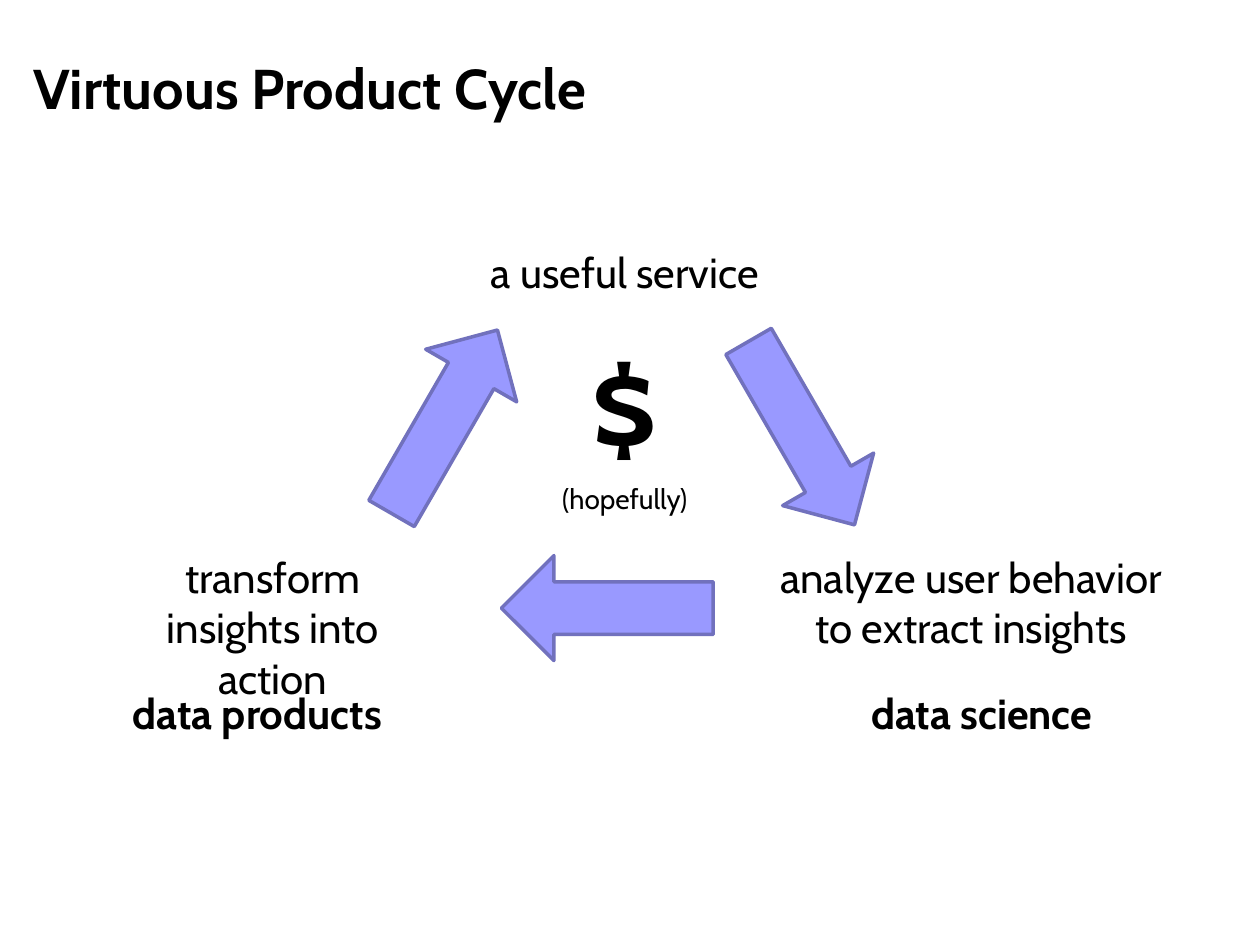
from pptx import Presentation
from pptx.dml.color import RGBColor
from pptx.enum import shapes, text
from pptx.util import Pt

BLACK = RGBColor(0x00, 0x00, 0x00)
LAVENDER = RGBColor(0x99, 0x99, 0xFF)
VIOLET = RGBColor(0x71, 0x71, 0xBD)
FONT = "Cabin"
CENTER = text.PP_ALIGN.CENTER
ARROW_W, ARROW_H = 121, 60


def add_text(s, box, lines, align=CENTER, anchor=text.MSO_ANCHOR.TOP,
             fit=text.MSO_AUTO_SIZE.SHAPE_TO_FIT_TEXT):
    """Place one paragraph; lines holds (wording, size, bold) per line."""
    tf = s.shapes.add_textbox(*map(Pt, box)).text_frame
    frame_format = {"word_wrap": True, "auto_size": fit, "vertical_anchor": anchor}
    for name, value in frame_format.items():
        setattr(tf, name, value)
    p = tf.paragraphs[0]
    p.alignment = align
    for i, (wording, size, bold) in enumerate(lines):
        if i:
            p.add_line_break()
        r = p.add_run()
        r.text = wording
        font_format = {"name": FONT, "size": Pt(size), "bold": bold}
        for name, value in font_format.items():
            setattr(r.font, name, value)
        r.font.color.rgb = BLACK


def add_arrow(s, left, top, rotation):
    sp = s.shapes.add_shape(shapes.MSO_SHAPE.RIGHT_ARROW,
                            Pt(left), Pt(top), Pt(ARROW_W), Pt(ARROW_H))
    sp.rotation = rotation
    sp.shadow.inherit = False
    sp.fill.solid()
    sp.fill.fore_color.rgb = LAVENDER
    sp.line.color.rgb = VIOLET
    sp.line.width = Pt(2)


def add_title(s, box):
    add_text(s, box, [("Virtuous Product Cycle", 32, True)],
             text.PP_ALIGN.LEFT, text.MSO_ANCHOR.MIDDLE, text.MSO_AUTO_SIZE.NONE)


def add_cycle(s, box):
    """Three stages joined clockwise by arrows around the payoff."""
    x, y, w, h = box
    stages = [
        ((234, 0, 198, 36), "a useful service", False),
        ((408, 174, 246, 66), "analyze user behavior to extract insights", False),
        ((36, 174, 192, 66), "transform insights into action", False),
        ((414, 252, 246, 36), "data science", True),
        ((0, 252, 246, 36), "data products", True),
    ]
    for (left, top, width, height), wording, bold in stages:
        add_text(s, (x + left, y + top, width, height), [(wording, 24, bold)])
    arrows = [(373.5, 80), (262.5, 180), (169.5, 73.5)]
    for i, (left, top) in enumerate(arrows):
        add_arrow(s, x + left, y + top, 60 + 120 * i)
    add_text(s, (x + 234, y + 48, 198, 114),
             [("$", 72, True), ("(hopefully)", 16, False)])


def main():
    prs = Presentation()
    prs.slide_width, prs.slide_height = Pt(720), Pt(540)
    s = prs.slides.add_slide(prs.slide_layouts[6])
    add_cycle(s, (24, 137.5, 660, 288))
    add_title(s, (12, 9, 684, 81))
    prs.save("out.pptx")


if __name__ == "__main__":
    main()
